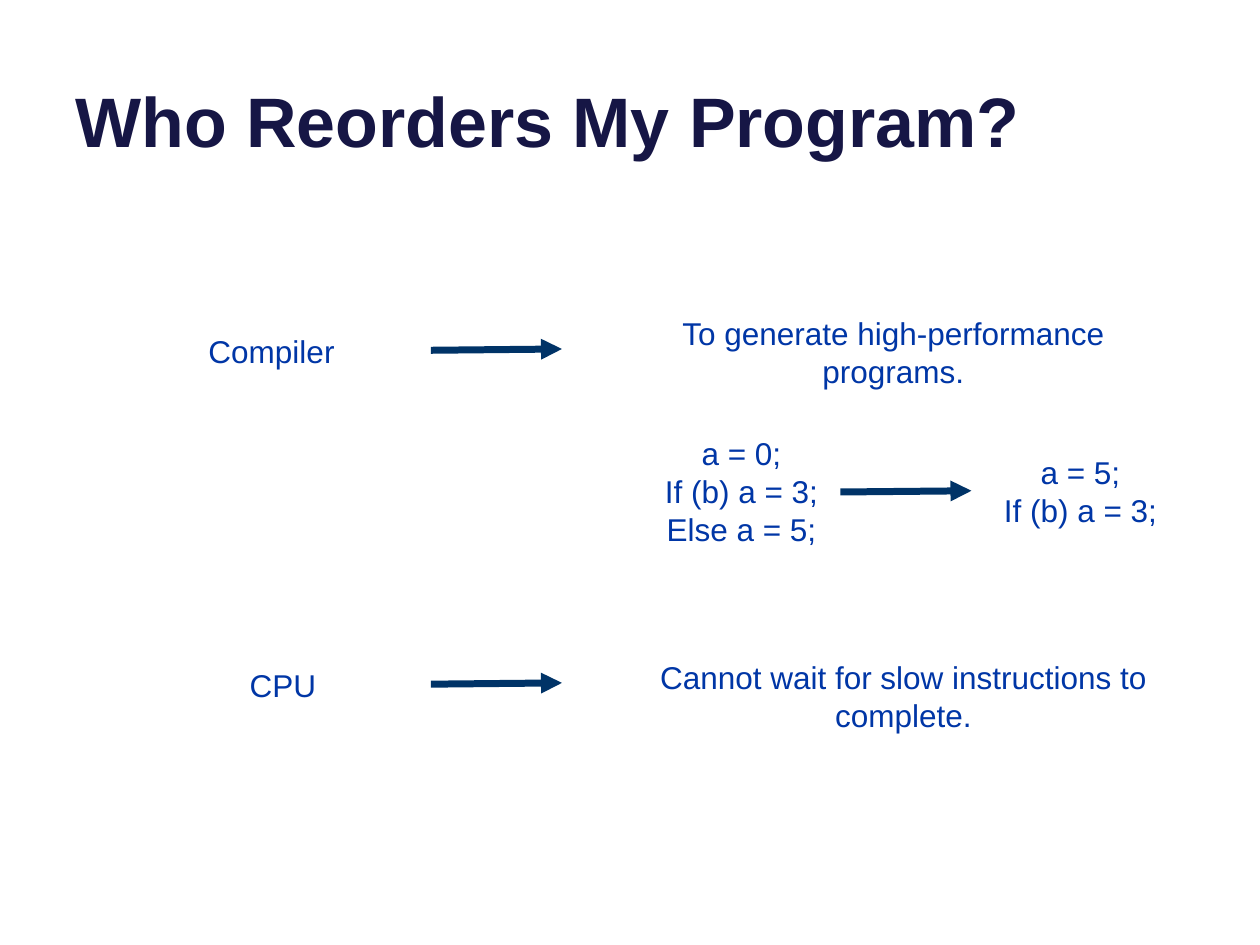
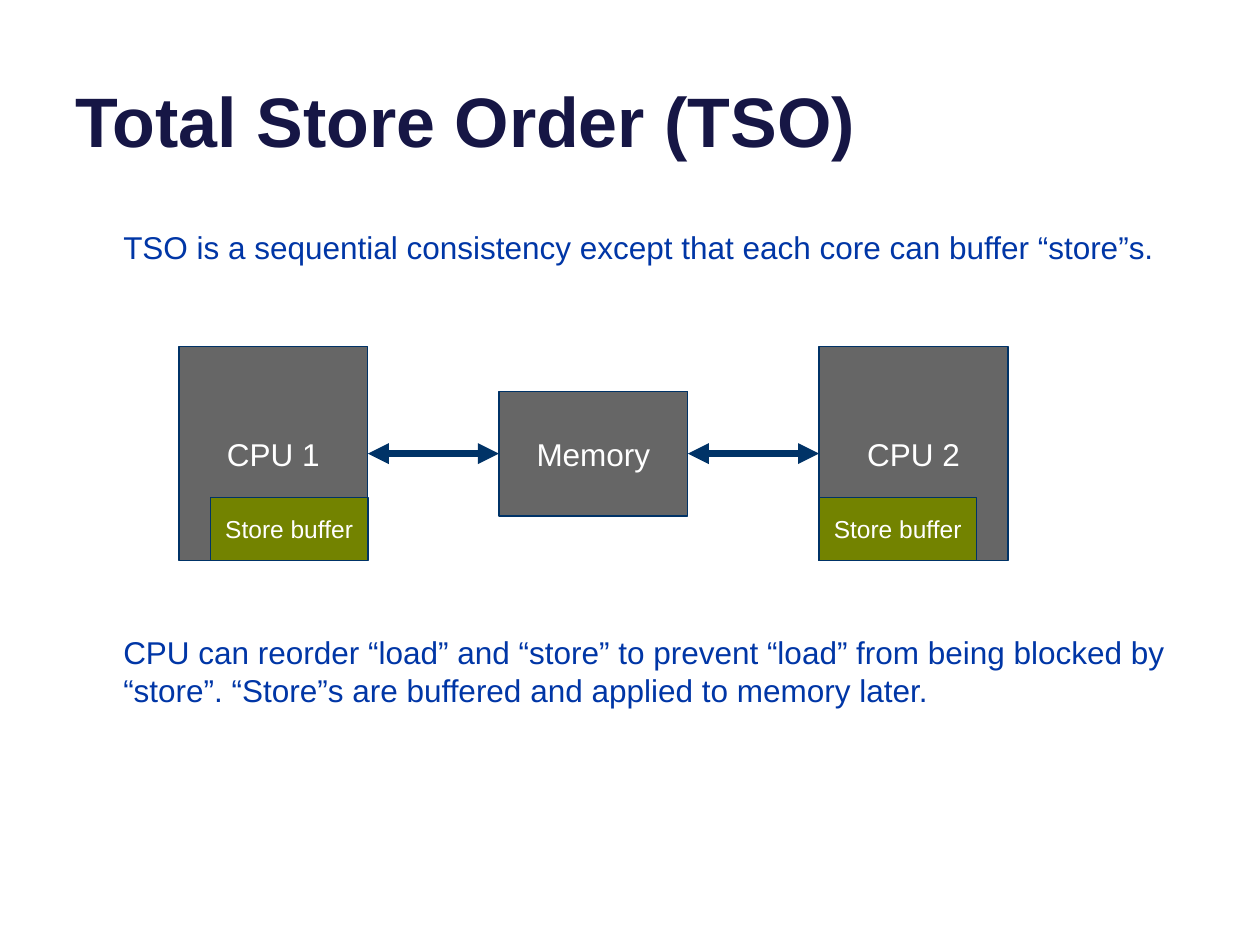
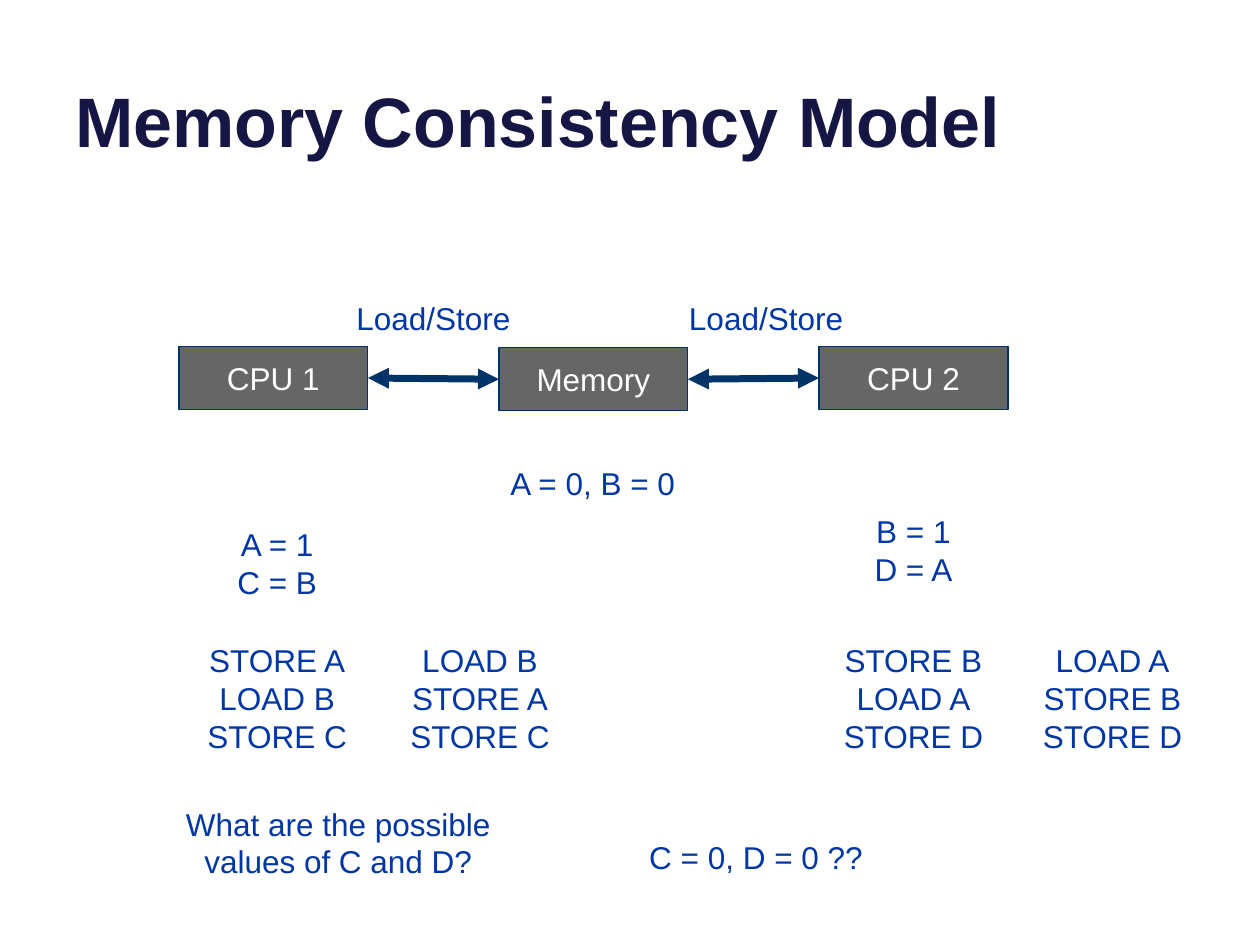
from dataclasses import dataclass

import lxml.etree
import pptx
import pptx.dml.color
import pptx.enum.shapes
import pptx.enum.text
import pptx.oxml.ns
import pptx.util

ALIGN = pptx.enum.text.PP_ALIGN
ANCHOR = pptx.enum.text.MSO_ANCHOR
RIGHT_SITE, LEFT_SITE = 3, 1
COLUMNS, ROWS = 100, 75
SLIDE_WIDTH = pptx.util.Inches(10)
SLIDE_HEIGHT = pptx.util.Inches(7.5)


@dataclass(frozen=True)
class Theme:
    font: str = "Arial"
    title_color: str = "161645"
    text_color: str = "0036A6"
    line_color: str = "003367"
    unit_fill: str = "666666"
    buffer_fill: str = "738300"
    box_text_color: str = "FFFFFF"
    title_size: float = 40
    body_size: float = 18
    small_size: float = 14
    arrow_width: float = 4
    outline_width: float = 0.75


THEME = Theme()


@dataclass(frozen=True)
class Area:
    """A rectangle in grid columns and rows."""
    left: float
    top: float
    width: float
    height: float


@dataclass(frozen=True)
class Label:
    left: float
    top: float
    width: float
    paragraphs: tuple[str, ...]
    wrapped_lines: int = 0
    alignment: ALIGN = ALIGN.CENTER

    @property
    def area(self) -> Area:
        lines = self.wrapped_lines or len(self.paragraphs)
        return Area(self.left, self.top, self.width, 1 + 3.05 * lines)


@dataclass(frozen=True)
class Box:
    area: Area
    text: str
    fill: str = THEME.unit_fill
    size: float = THEME.body_size


@dataclass(frozen=True)
class Arrow:
    start: tuple[float, float]
    end: tuple[float, float]
    two_headed: bool = False


TITLE_AREA = Area(5, -3.7, 90, 17)
UNIT_LEFT, UNIT_PITCH, UNIT_WIDTH = 14.2, 25.4, 15
BUFFER_WIDTH, BUFFER_HEIGHT = 12.5, 5


def column(value: float) -> int:
    return round(SLIDE_WIDTH * value / COLUMNS)


def row(value: float) -> int:
    return round(SLIDE_HEIGHT * value / ROWS)


def bounds(area: Area) -> tuple[int, int, int, int]:
    return column(area.left), row(area.top), column(area.width), row(area.height)


def rgb(color: str) -> pptx.dml.color.RGBColor:
    return pptx.dml.color.RGBColor.from_string(color)


def write_text(shape, paragraphs: tuple[str, ...], size: float, color: str,
               alignment: ALIGN = ALIGN.CENTER, anchor: ANCHOR = ANCHOR.MIDDLE,
               bold: bool = False) -> None:
    frame = shape.text_frame
    frame.word_wrap = True
    frame.vertical_anchor = anchor
    for index, text in enumerate(paragraphs):
        paragraph = frame.add_paragraph() if index else frame.paragraphs[0]
        paragraph.alignment = alignment
        run = paragraph.add_run()
        run.text = text
        run.font.name = THEME.font
        run.font.size = pptx.util.Pt(size)
        run.font.bold = bold
        run.font.color.rgb = rgb(color)


def add_titled_slide(presentation, title: str):
    slide = presentation.slides.add_slide(presentation.slide_layouts[6])
    shape = slide.shapes.add_textbox(*bounds(TITLE_AREA))
    write_text(shape, (title,), THEME.title_size, THEME.title_color,
               ALIGN.LEFT, ANCHOR.BOTTOM, bold=True)
    return slide


def add_labels(slide, labels: list[Label]) -> None:
    for label in labels:
        shape = slide.shapes.add_textbox(*bounds(label.area))
        write_text(shape, label.paragraphs, THEME.body_size, THEME.text_color, label.alignment)


def add_box(slide, box: Box):
    shape = slide.shapes.add_shape(pptx.enum.shapes.MSO_SHAPE.RECTANGLE, *bounds(box.area))
    shape.shadow.inherit = False
    shape.fill.solid()
    shape.fill.fore_color.rgb = rgb(box.fill)
    shape.line.color.rgb = rgb(THEME.line_color)
    shape.line.width = pptx.util.Pt(THEME.outline_width)
    write_text(shape, (box.text,), box.size, THEME.box_text_color)
    return shape


def add_arrow(slide, arrow: Arrow):
    (start_x, start_y), (end_x, end_y) = arrow.start, arrow.end
    connector = slide.shapes.add_connector(
        pptx.enum.shapes.MSO_CONNECTOR.STRAIGHT,
        column(start_x), row(start_y), column(end_x), row(end_y))
    connector.line.color.rgb = rgb(THEME.line_color)
    connector.line.width = pptx.util.Pt(THEME.arrow_width)
    line = connector.line._get_or_add_ln()
    for end in ("a:headEnd", "a:tailEnd") if arrow.two_headed else ("a:tailEnd",):
        lxml.etree.SubElement(line, pptx.oxml.ns.qn(end), type="triangle")
    lxml.etree.SubElement(connector._element.spPr, pptx.oxml.ns.qn("a:effectLst"))
    return connector


def unit_left(index: int) -> float:
    return UNIT_LEFT + index * UNIT_PITCH


def add_memory_system(slide, cpu_top: float, cpu_height: float,
                      memory_top: float, memory_height: float) -> None:
    """Draw two processors joined to the memory between them."""
    units = [("CPU 1", cpu_top, cpu_height),
             ("Memory", memory_top, memory_height),
             ("CPU 2", cpu_top, cpu_height)]
    areas = [Area(unit_left(index), top, UNIT_WIDTH, height)
             for index, (_, top, height) in enumerate(units)]
    shapes = [add_box(slide, Box(area, unit[0])) for area, unit in zip(areas, units)]
    for index in range(len(units) - 1):
        source, target = areas[index], areas[index + 1]
        connector = add_arrow(slide, Arrow(
            (source.left + source.width, source.top + source.height / 2),
            (target.left, target.top + target.height / 2), two_headed=True))
        connector.begin_connect(shapes[index], RIGHT_SITE)
        connector.end_connect(shapes[index + 1], LEFT_SITE)


def build_reordering_slide(presentation) -> None:
    slide = add_titled_slide(presentation, "Who Reorders My Program?")
    add_labels(slide, [
        Label(13.3, 25.8, 16.5, ("Compiler",)),
        Label(14.2, 52.3, 16.5, ("CPU",)),
        Label(47.6, 24.4, 46.6, ("To generate high-performance programs.",), 2),
        Label(48, 33.9, 21.7, ("a = 0;", "If (b) a = 3;", "Else a = 5;")),
        Label(75.8, 35.4, 19.9, ("a = 5;", "If (b) a = 3;")),
        Label(48.4, 51.7, 46.6, ("Cannot wait for slow instructions to complete.",), 2),
    ])
    for left, top in ((34.2, 27.8), (66.7, 39.05), (34.2, 54.3)):
        add_arrow(slide, Arrow((left, top), (left + 10.4, top - 0.1)))


def build_store_order_slide(presentation) -> None:
    slide = add_titled_slide(presentation, "Total Store Order (TSO)")
    cpu_top, cpu_height = 27.5, 17
    add_memory_system(slide, cpu_top, cpu_height, memory_top=31.05, memory_height=9.9)
    buffer_top = cpu_top + cpu_height - BUFFER_HEIGHT
    for left in (unit_left(0) + UNIT_WIDTH - BUFFER_WIDTH, unit_left(2)):
        add_box(slide, Box(Area(left, buffer_top, BUFFER_WIDTH, BUFFER_HEIGHT),
                           "Store buffer", THEME.buffer_fill, THEME.small_size))
    add_labels(slide, [
        Label(8.8, 17.6, 85.8,
              ("TSO is a sequential consistency except that each core can buffer “store”s.",),
              alignment=ALIGN.LEFT),
        Label(8.8, 49.7, 85.8,
              ("CPU can reorder “load” and “store” to prevent “load” from being blocked by "
               "“store”. “Store”s are buffered and applied to memory later.",),
              2, ALIGN.LEFT),
    ])


def build_consistency_slide(presentation) -> None:
    slide = add_titled_slide(presentation, "Memory Consistency Model")
    add_memory_system(slide, cpu_top=27.5, cpu_height=5, memory_top=27.6, memory_height=5)
    add_labels(slide, [Label(left, 23.2, UNIT_WIDTH, ("Load/Store",)) for left in (26.9, 53.3)])
    add_labels(slide, [
        Label(38.1, 36.3, 17.9, ("A = 0, B = 0",)),
        Label(14.5, 41.1, UNIT_WIDTH, ("A = 1", "C = B")),
        Label(65, 40.1, UNIT_WIDTH, ("B = 1", "D = A")),
        Label(10.6, 63.3, 32.5, ("What are the possible values of C and D?",), 2),
        Label(47.1, 66, 25.8, ("C = 0, D = 0 ??",)),
    ])
    instruction_orders = [
        (14.5, ("STORE A", "LOAD B", "STORE C")),
        (30.6, ("LOAD B", "STORE A", "STORE C")),
        (65, ("STORE B", "LOAD A", "STORE D")),
        (80.8, ("LOAD A", "STORE B", "STORE D")),
    ]
    add_labels(slide, [Label(left, 50.3, UNIT_WIDTH, instructions)
                       for left, instructions in instruction_orders])


def main() -> None:
    presentation = pptx.Presentation()
    presentation.slide_width = SLIDE_WIDTH
    presentation.slide_height = SLIDE_HEIGHT
    build_reordering_slide(presentation)
    build_store_order_slide(presentation)
    build_consistency_slide(presentation)
    presentation.save("out.pptx")


if __name__ == "__main__":
    main()
